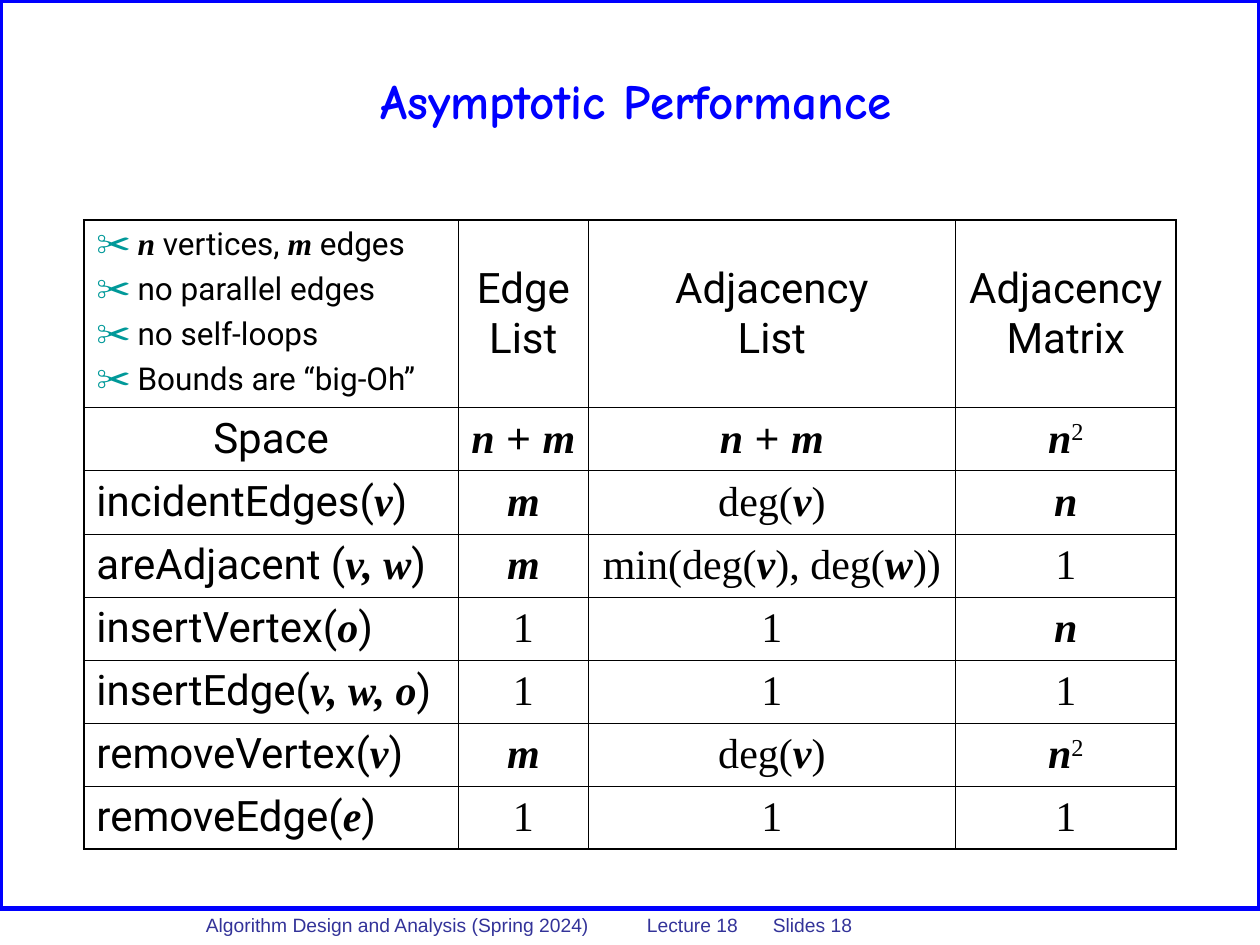
from pptx import Presentation
from pptx.dml.color import RGBColor
from pptx.enum.shapes import MSO_SHAPE as Kind
from pptx.enum.text import MSO_ANCHOR as Anchor, PP_ALIGN as Align
from pptx.oxml import parse_xml as to_xml
from pptx.oxml.ns import nsdecls
from pptx.util import Cm, Pt

BLUE = RGBColor(0x00, 0x00, 0xFF)
NAVY = RGBColor(0x33, 0x33, 0x99)
TEAL = RGBColor(0x00, 0x99, 0x99)
BLACK = RGBColor(0x00, 0x00, 0x00)
SANS, SERIF, PLAIN = "Roboto", "Times New Roman", "Arial"
NS = nsdecls("a")


def style(run, name, size, color, bold=False, italic=False):
    font = run.font
    font.name, font.size, font.color.rgb = name, Pt(size), color
    font.bold, font.italic = bold, italic


def write(para, text, name, size):
    """Write text where *x* is a variable and ^x, after one, a superscript."""
    if "*" not in text:
        para.text = text
        for run in para.runs:
            style(run, name, size, BLACK)
        return
    for i, part in enumerate(text.split("*")):
        if part:
            run = para.add_run()
            run.text = part.lstrip("^")
            var = i % 2 == 1
            face = SERIF if var else PLAIN if "+" in part else name
            style(run, face, size, BLACK, var, var)
            if part.startswith("^"):
                run.font._element.set("baseline", "30000")


deck = Presentation()
deck.slide_width, deck.slide_height = Cm(25.4), Cm(19.05)
slide = deck.slides.add_slide(deck.slide_layouts[6])
shapes = slide.shapes

# Frame
frame = shapes.add_shape(Kind.RECTANGLE, 0, 0, Cm(25.4), Cm(18.31))
frame.shadow.inherit = False
frame.fill.background()
frame.line.color.rgb = BLUE
frame.line.width = Pt(3)

# Footer, its three parts set on tab stops
foot = shapes.add_textbox(Cm(3.38), Cm(18.29), Cm(22.02), Cm(0.66)).text_frame
foot.word_wrap = True
para = foot.paragraphs[0]
para.text = "Algorithm Design and Analysis (Spring 2024)\tLecture 18\tSlides 18"
props = para._p.get_or_add_pPr()
props.set("marL", str(Cm(0.52)))
props.set("indent", "0")
stops = "".join(f'<a:tab pos="{Cm(x)}" algn="l"/>' for x in (12.43, 18.26))
props.append(to_xml(f"<a:tabLst {NS}>{stops}</a:tabLst>"))
for run in para.runs:
    style(run, PLAIN, 11, NAVY)

# Title
title = shapes.add_textbox(Cm(1.7), Cm(0.84), Cm(22.23), Cm(2.34)).text_frame
title.word_wrap = True
title.vertical_anchor = Anchor.MIDDLE
title.text = "Asymptotic Performance"
para = title.paragraphs[0]
para.alignment = Align.CENTER
style(para.runs[0], "Comic Neue", 28, BLUE, bold=True)

# Table of bounds
notes = ["*n* vertices, *m* edges", "no parallel edges",
         "no self-loops", "Bounds are “big-Oh”"]
rows = [
    ["", "Edge\nList", "Adjacency\nList", "Adjacency Matrix"],
    ["Space", "*n* + *m*", "*n* + *m*", "*n*^2"],
    ["incidentEdges(*v*)", "*m*", "deg(*v*)", "*n*"],
    ["areAdjacent (*v, w*)", "*m*", "min(deg(*v*), deg(*w*))", "1"],
    ["insertVertex(*o*)", "1", "1", "*n*"],
    ["insertEdge(*v, w, o*)", "1", "1", "1"],
    ["removeVertex(*v*)", "*m*", "deg(*v*)", "*n*^2"],
    ["removeEdge(*e*)", "1", "1", "1"],
]
wide = [7.55, 2.62, 7.4, 4.45]
tall = [3.78] + [1.27] * 7
end, last = len(rows) - 1, len(wide) - 1
grid = shapes.add_table(len(rows), len(wide), Cm(1.69), Cm(4.44),
                        Cm(sum(wide)), Cm(sum(tall))).table
grid.first_row = grid.horz_banding = False
for col, size in zip(grid.columns, wide):
    col.width = Cm(size)
for row, size in zip(grid.rows, tall):
    row.height = Cm(size)

for r, row in enumerate(rows):
    for c, text in enumerate(row):
        cell = grid.cell(r, c)
        # Heavy rule round the outside, thin rules within
        edges = {"L": c == 0, "R": c == last, "T": r == 0, "B": r == end}
        props = cell._tc.get_or_add_tcPr()
        for side, outer in edges.items():
            width = Pt(1.08 if outer else 0.45)
            props.append(to_xml(
                f'<a:ln{side} {NS} w="{width}"><a:solidFill>'
                f'<a:srgbClr val="{BLACK}"/></a:solidFill></a:ln{side}>'))
        cell.fill.background()
        if not text:
            continue
        cell.vertical_anchor = Anchor.MIDDLE
        para = cell.text_frame.paragraphs[0]
        para.alignment = Align.LEFT if c == 0 and r > 1 else Align.CENTER
        write(para, text, SANS if r == 0 or c == 0 else SERIF, 24)

# Bulleted notes in the corner cell
frame = grid.cell(0, 0).text_frame
for i, note in enumerate(notes):
    para = frame.add_paragraph() if i else frame.paragraphs[0]
    if i:
        para.space_before = Pt(4.5)
    props = para._p.get_or_add_pPr()
    props.set("marL", str(Cm(0.83)))
    props.set("indent", str(-Cm(0.83)))
    for tag in (f'<a:buClr {NS}><a:srgbClr val="{TEAL}"/></a:buClr>',
                f'<a:buSzPct {NS} val="110000"/>',
                f'<a:buFont {NS} typeface="{PLAIN}"/>',
                f'<a:buChar {NS} char="✂"/>'):
        props.append(to_xml(tag))
    write(para, note, SANS, 18)

deck.save("out.pptx")
